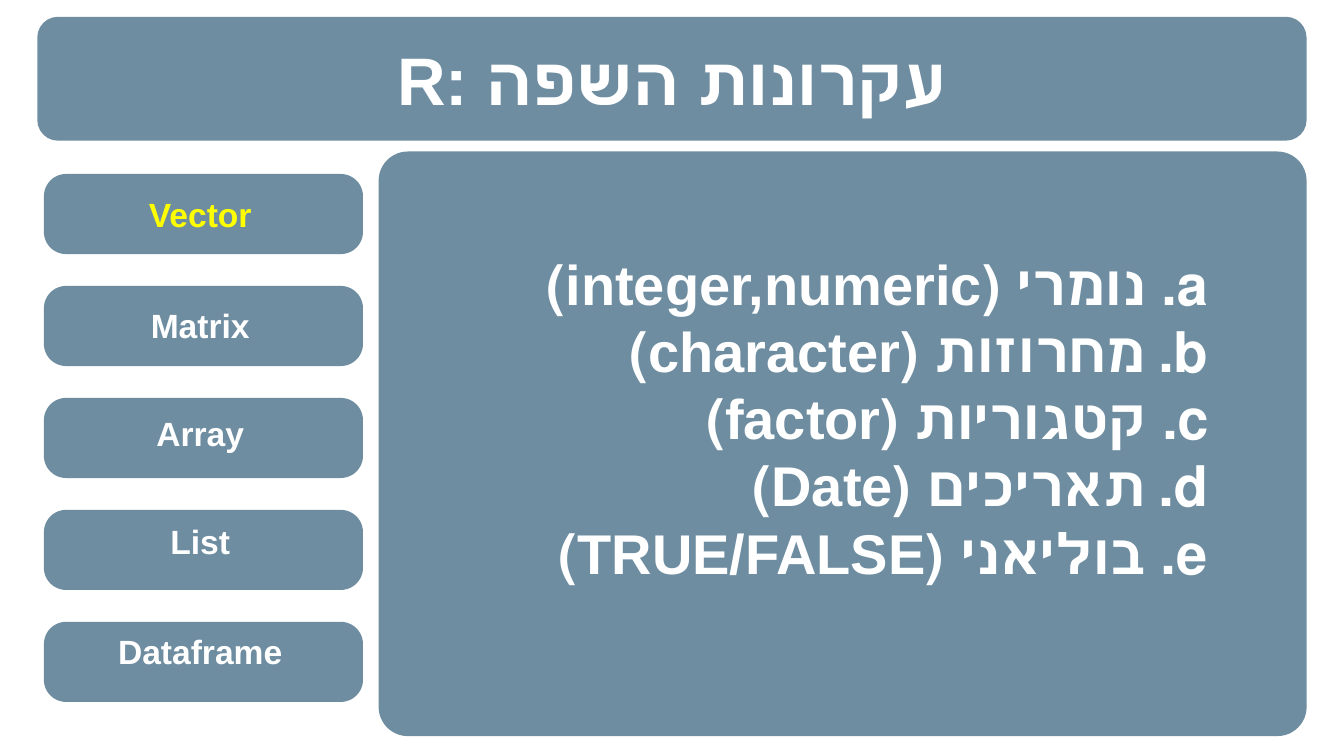
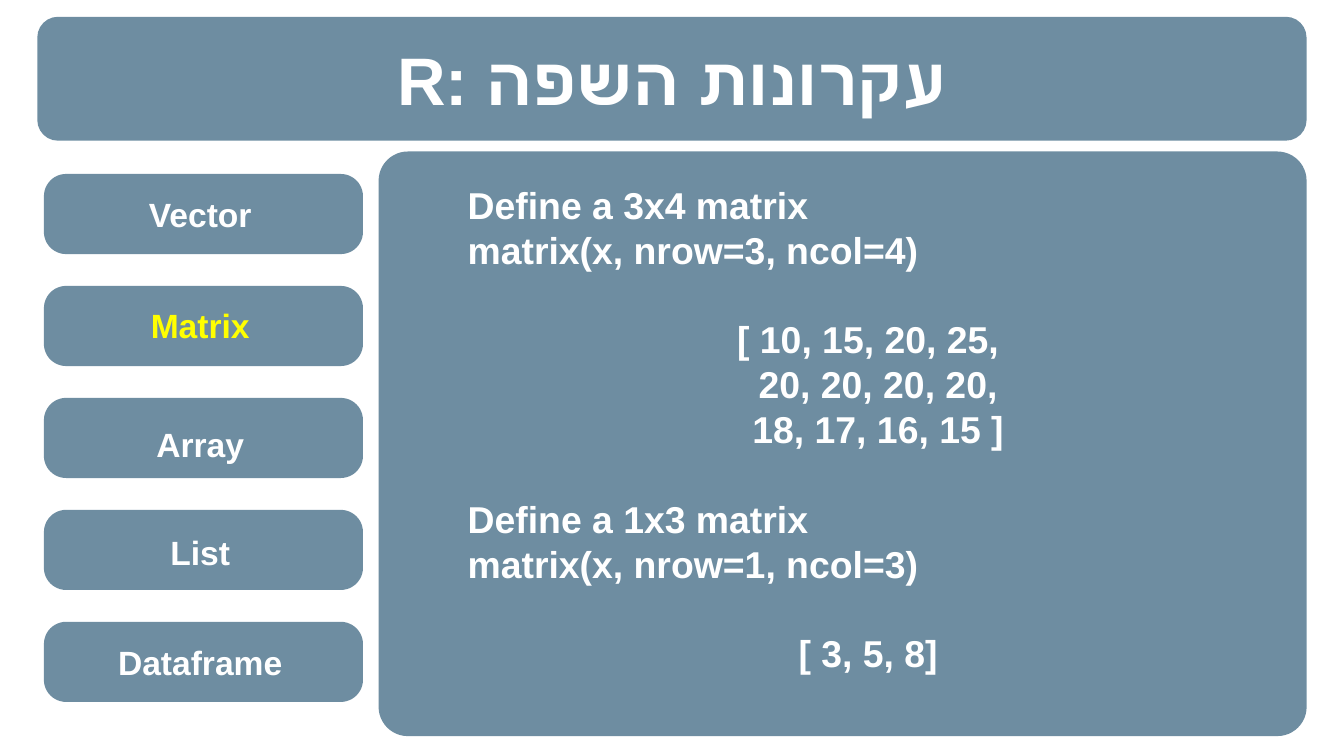
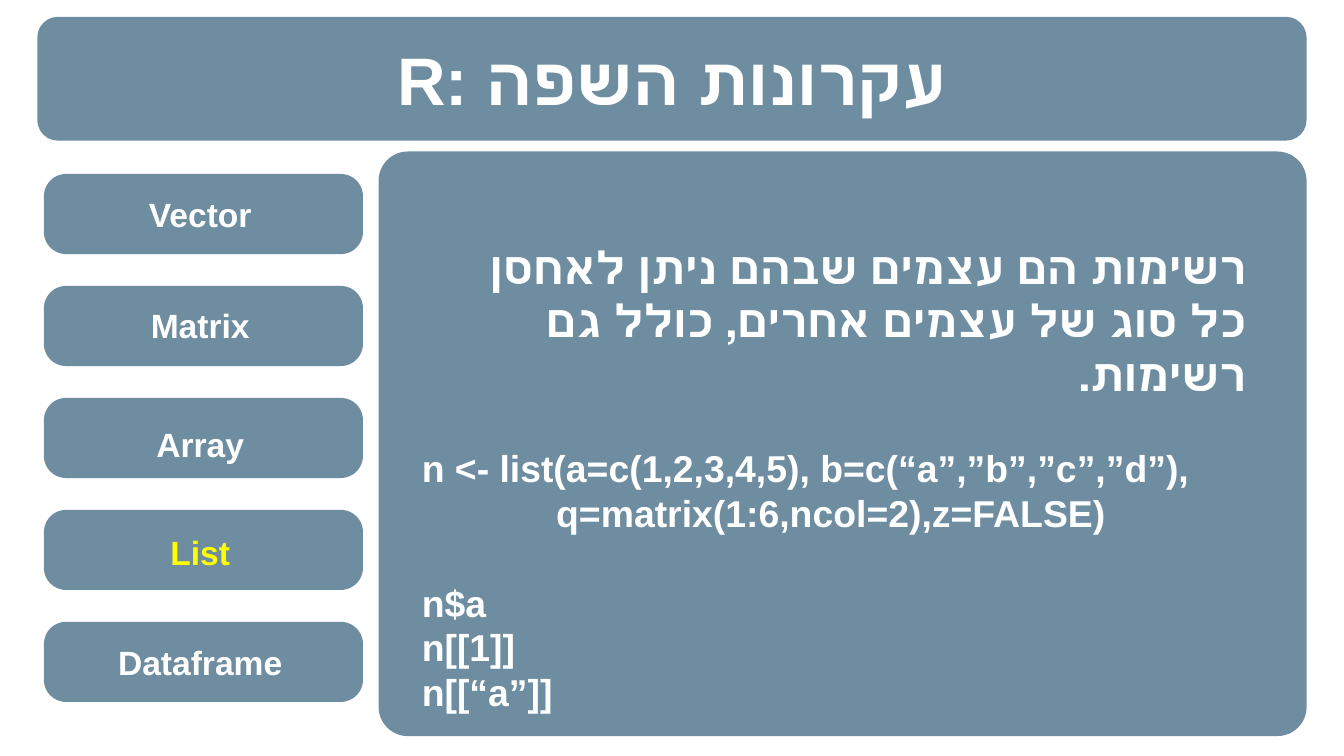
from lxml import etree
from pptx import Presentation
from pptx.dml.color import RGBColor
from pptx.enum.shapes import MSO_SHAPE
from pptx.enum.text import MSO_ANCHOR, PP_ALIGN
from pptx.oxml.ns import qn
from pptx.util import Inches, Pt

ROUNDED = MSO_SHAPE.ROUNDED_RECTANGLE
SLANTED = MSO_SHAPE.PARALLELOGRAM
TOP, MIDDLE = MSO_ANCHOR.TOP, MSO_ANCHOR.MIDDLE
LEFT, CENTER, RIGHT = PP_ALIGN.LEFT, PP_ALIGN.CENTER, PP_ALIGN.RIGHT

COLORS = {"panel": "215170", "text": "FFFFFF", "active": "FFFF00"}
FONT = "Arial"
LEADING = 1.2
PANEL_ALPHA = 65

COLUMNS, ROWS = 100, 56.25
CELL = Inches(0.1)

HEADING = "R: עקרונות השפה"
TOPICS = ["Vector", "Matrix", "Array", "List", "Dataframe"]
TOPIC_TOPS = [12.8, 21.05, 29.9, 37.9, 46.1]
CHIP_TOP, CHIP_PITCH = 12.95, 8.33

DATA_TYPES = [
    "נומרי (integer,numeric)",
    "מחרוזות (character)",
    "קטגוריות (factor)",
    "תאריכים (Date)",
    "בוליאני (TRUE/FALSE)",
]
LIST_MEANING = ("רשימות הם עצמים שבהם ניתן לאחסן \v"
                "כל סוג של עצמים אחרים, כולל גם \v"
                "רשימות.")


def cells(*counts):
    return [round(CELL * count) for count in counts]


def color(name):
    return RGBColor.from_string(COLORS[name])


def add_panel(slide, box, corner):
    panel = slide.shapes.add_shape(ROUNDED, *cells(*box))
    panel.adjustments[0] = corner
    panel.shadow.inherit = False
    panel.line.fill.background()
    panel.fill.solid()
    panel.fill.fore_color.rgb = color("panel")
    tint = panel.fill._xPr.find(".//" + qn("a:srgbClr"))
    etree.SubElement(tint, qn("a:alpha"), val=str(PANEL_ALPHA * 1000))
    return panel


def add_backdrop(slide):
    panels = [
        add_panel(slide, (2.78, 1.25, 94.44, 9.22), 0.167),
        add_panel(slide, (28.17, 11.27, 69.05, 43.5), 0.05),
    ]
    for row in range(len(TOPICS)):
        chip = (3.27, CHIP_TOP + row * CHIP_PITCH, 23.74, 5.96)
        panels.append(add_panel(slide, chip, 0.278))
    for panel in panels:
        slide.slide_layout.shapes.element.append(panel.element)


def prepare_frame(frame, anchor, inset, top_inset=None):
    frame.word_wrap = True
    frame.vertical_anchor = anchor
    frame.margin_left = frame.margin_right = frame.margin_bottom = Inches(inset)
    frame.margin_top = Inches(inset if top_inset is None else top_inset)


def write(frame, text, size, align=LEFT, tone="text", gap=0, indent=0,
          rtl=False, lettered=False):
    paragraph = frame.paragraphs[0]
    if paragraph.text:
        paragraph = frame.add_paragraph()
    paragraph.text = text
    paragraph.alignment = align
    paragraph.line_spacing = Pt(size * LEADING)
    paragraph.space_before = Pt(gap)
    properties = paragraph._p.get_or_add_pPr()
    if rtl:
        properties.set("rtl", "1")
    if indent:
        properties.set("marL", str(Inches(indent)))
    if lettered:
        paragraph.level = 1
        properties.set("indent", str(Inches(-0.46)))
        marker = etree.SubElement(properties, qn("a:buClr"))
        etree.SubElement(marker, qn("a:srgbClr"), val=COLORS[tone])
        etree.SubElement(properties, qn("a:buAutoNum"), type="alphaLcPeriod")
    font = paragraph.font
    font.size, font.bold, font.name = Pt(size), True, FONT
    font.color.rgb = color(tone)


def add_text_area(slide, box, anchor=TOP, inset=0, top_inset=None):
    frame = slide.shapes.add_textbox(*cells(*box)).text_frame
    prepare_frame(frame, anchor, inset, top_inset)
    return frame


def add_topic(slide, name, top, active):
    label = slide.shapes.add_shape(SLANTED, *cells(3, top, 23.8, 6.3))
    label.adjustments[0] = 0.05 if name == "Array" else 0
    label.shadow.inherit = False
    label.fill.background()
    label.line.fill.background()
    prepare_frame(label.text_frame, MIDDLE, 0.1)
    write(label.text_frame, name, 18, CENTER, "active" if active else "text")


def add_topic_slide(deck, active_topic, lower_lift=0):
    slide = deck.slides.add_slide(deck.slide_layouts[6])
    heading = add_text_area(slide, (3.3, 2.85, 93.4, 6), MIDDLE)
    write(heading, HEADING, 36, CENTER)
    for row, (name, top) in enumerate(zip(TOPICS, TOPIC_TOPS)):
        lift = lower_lift if row > 1 else 0
        add_topic(slide, name, top - lift, name == active_topic)
    return slide


def fill_vector(slide):
    body = add_text_area(slide, (32.3, 13.55, 63, 39.2), top_inset=0.5)
    for data_type in DATA_TYPES:
        write(body, data_type, 30, RIGHT, indent=1, rtl=True, lettered=True)


def fill_matrix(slide):
    body = add_text_area(slide, (34.8, 13.55, 59.6, 39.2))
    gap = 20 * LEADING
    write(body, "Define a 3x4 matrix", 20)
    write(body, "matrix(x, nrow=3, ncol=4)", 20)
    write(body, "[ 10, 15, 20, 25,", 20, CENTER, gap=gap)
    for values in ("20, 20, 20, 20,", "18, 17, 16, 15 ]"):
        write(body, values, 20, CENTER, indent=0.15)
    write(body, "Define a 1x3 matrix", 20, gap=gap)
    write(body, "matrix(x, nrow=1, ncol=3)", 20)
    write(body, "[ 3, 5, 8]", 20, CENTER, gap=gap)


def fill_list(slide):
    body = add_text_area(slide, (30.4, 12.8, 63.3, 39.9), inset=0.1, top_inset=0.5)
    gap = 20 * LEADING
    write(body, LIST_MEANING, 24, RIGHT, rtl=True)
    write(body, "n <- list(a=c(1,2,3,4,5), b=c(“a”,”b”,”c”,”d”),", 20, gap=gap)
    write(body, "q=matrix(1:6,ncol=2),z=FALSE)", 20, indent=1)
    write(body, "n$a", 20, gap=gap)
    for access in ("n[[1]]", "n[[“a”]]"):
        write(body, access, 20)


def main():
    deck = Presentation()
    deck.slide_width, deck.slide_height = cells(COLUMNS, ROWS)
    vector = add_topic_slide(deck, "Vector", lower_lift=0.8)
    add_backdrop(vector)
    fill_vector(vector)
    fill_matrix(add_topic_slide(deck, "Matrix"))
    fill_list(add_topic_slide(deck, "List"))
    deck.save("out.pptx")


main()
